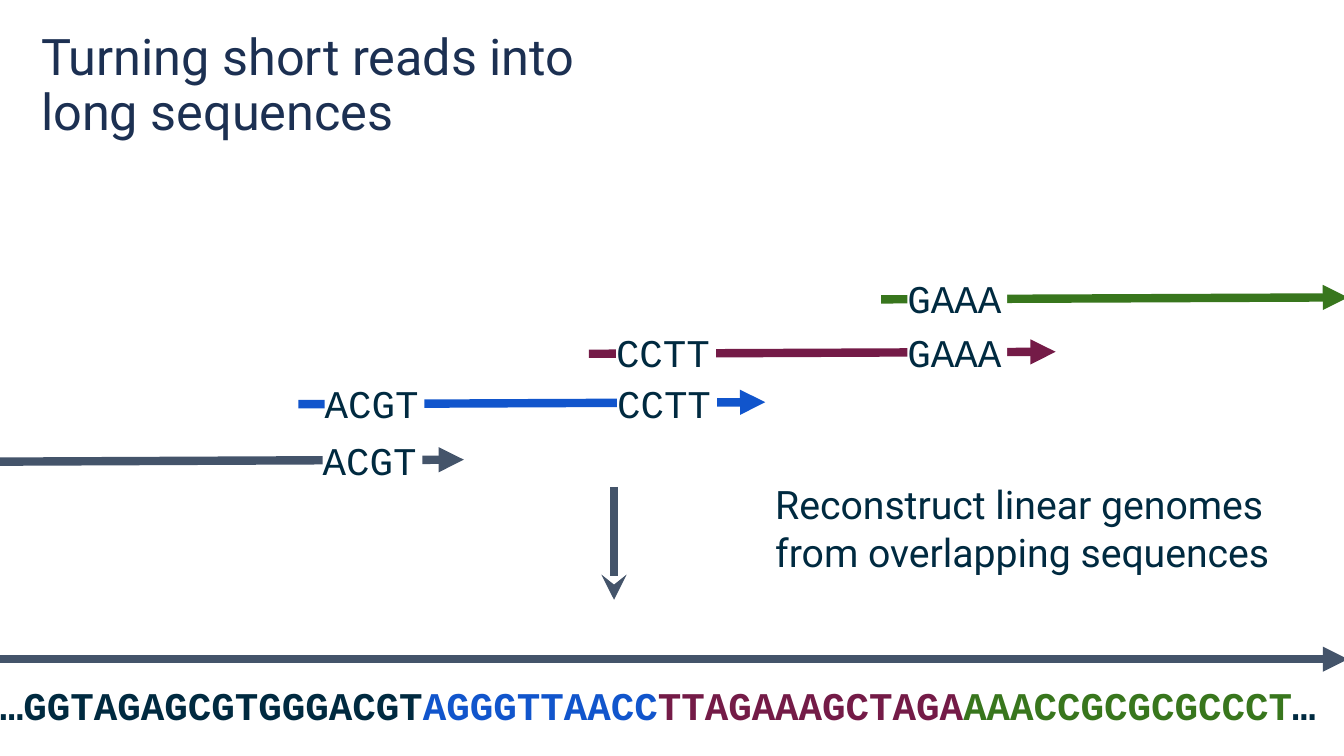
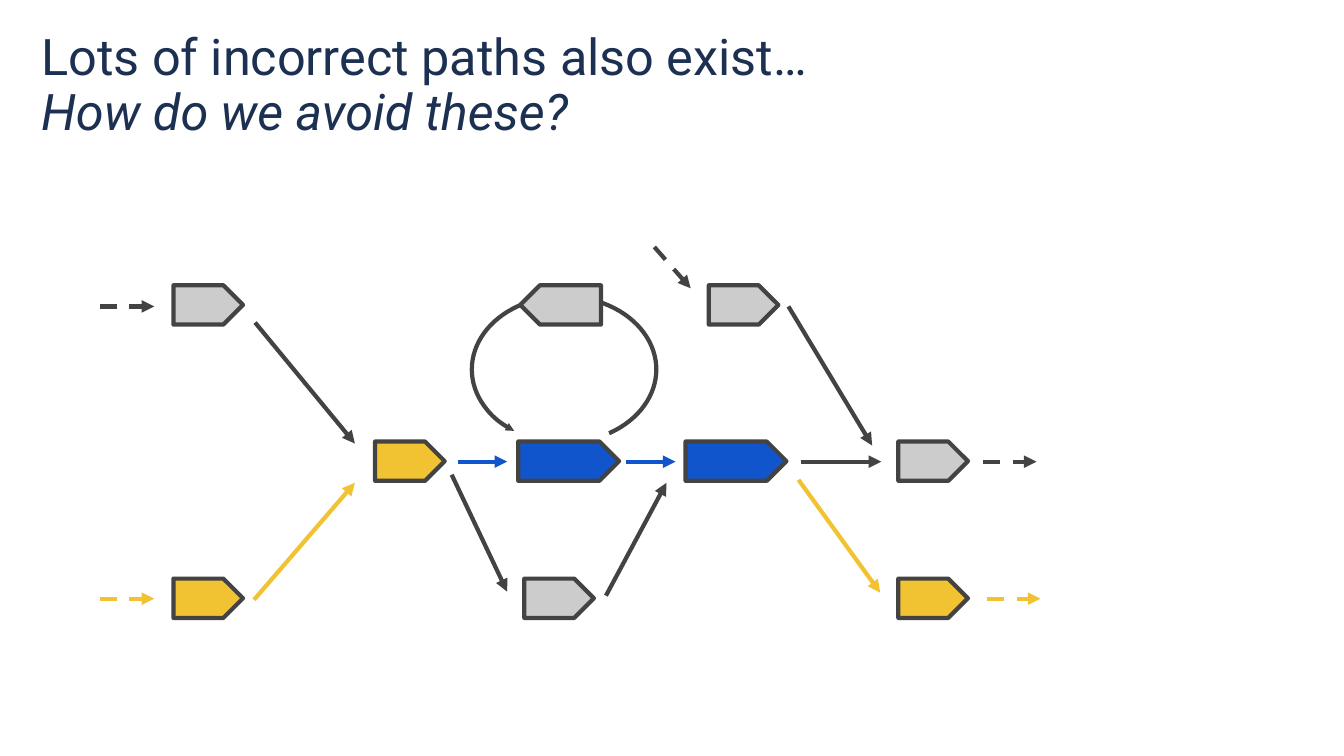
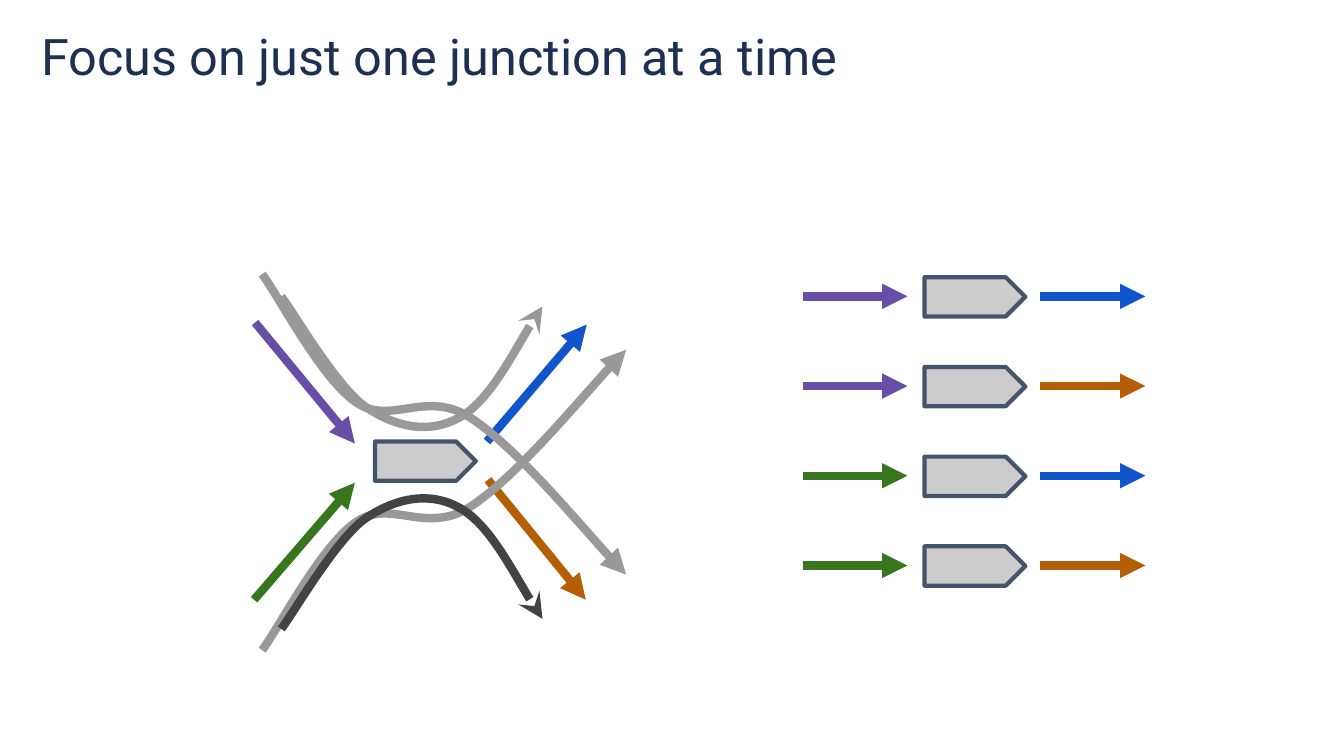
from lxml import etree
from pptx import Presentation
from pptx.dml.color import RGBColor
from pptx.enum.dml import MSO_LINE
from pptx.enum.shapes import MSO_CONNECTOR, MSO_SHAPE
from pptx.enum.text import MSO_ANCHOR, PP_ALIGN
from pptx.oxml.ns import qn
from pptx.util import Inches, Pt

DASH = MSO_LINE.DASH
STRAIGHT = MSO_CONNECTOR.STRAIGHT
PLATE, ARC, RECT = MSO_SHAPE.PENTAGON, MSO_SHAPE.ARC, MSO_SHAPE.RECTANGLE
MIDDLE, LEFT = MSO_ANCHOR.MIDDLE, PP_ALIGN.LEFT


class Theme:
    navy, ink, slate, dark = "1C3052", "002A40", "44546A", "434343"
    blue, plum, green, gold = "1155CC", "741B47", "38761D", "F1C232"
    violet, rust = "674EA7", "B45F06"
    pale, grey, white = "CCCCCC", "999999", "FFFFFF"
    sans, mono = "Roboto", "Courier New"
    head, body = Pt(36), Pt(28)
    thin, thick = Pt(3), Pt(6)


T = Theme

# Slide size and a grid of 13.33 columns by 7.5 rows
deck = Presentation()
deck.slide_width, deck.slide_height = Inches(13.33), Inches(7.5)
COL = deck.slide_width / 13.33
ROW = deck.slide_height / 7.5


def ink(part, hue, width, tip=None, dash=None):
    """Give a shape or connector its line, end arrow and no shadow."""
    part.line.color.rgb = RGBColor.from_string(hue)
    part.line.width = width
    if dash:
        part.line.dash_style = dash
    if tip:
        etree.SubElement(part.line._ln, qn("a:tailEnd"), type=tip)
    etree.SubElement(part.element.spPr, qn("a:effectLst"))


def style(frame, face, size, hue, inset):
    """Set wrapping, insets and run fonts of a text frame."""
    frame.word_wrap = True
    frame.margin_left = frame.margin_right = int(inset[0] * COL)
    frame.margin_top = frame.margin_bottom = int(inset[1] * ROW)
    for para in frame.paragraphs:
        para.alignment = LEFT
        for run in para.runs:
            run.font.name, run.font.size = face, size
            run.font.color.rgb = RGBColor.from_string(hue)


# Slide 1: four reads climbing to the right, each (left, row, colour)
reads = [(-0.03, 4.58, T.slate), (2.96, 4.01, T.blue),
         (5.84, 3.51, T.plum), (8.74, 2.97, T.green)]
steps = [(x, y, x + 4.63, y - 0.02, hue, "triangle", None)
         for x, y, hue in reads]
steps += [(-0.03, 6.54, 13.37, 6.54, T.slate, "triangle", None),
          (6.09, 4.83, 6.09, 5.95, T.slate, "stealth", None)]

# Slide 2: graph on three rows; plates are (left, top, width, fill, turn)
TOP, MID, LOW = 2.83, 4.38, 5.74
AXIS, BASE = 4.58, 5.94
SMALL, BIG, TALL = 0.69, 1, 0.39
nodes = [(1.72, TOP, SMALL, T.pale, 0), (5.16, TOP, 0.8, T.pale, 180),
         (7.03, TOP, SMALL, T.pale, 0), (3.72, MID, SMALL, T.gold, 0),
         (5.14, MID, BIG, T.blue, 0), (6.8, MID, BIG, T.blue, 0),
         (8.91, MID, SMALL, T.pale, 0), (1.72, LOW, SMALL, T.gold, 0),
         (5.2, LOW, SMALL, T.pale, 0), (8.91, LOW, SMALL, T.gold, 0)]
edges = [(*ends, hue, "triangle", dash) for hue, dash, group in [
    (T.blue, None, [(4.54, AXIS, 5.03, AXIS), (6.21, AXIS, 6.7, AXIS)]),
    (T.gold, None, [(2.52, 5.95, 3.52, 4.79), (7.92, 4.76, 8.73, 5.88)]),
    (T.dark, None, [(2.53, 3.2, 3.52, 4.4), (7.82, 3.04, 8.65, 4.42),
                    (6.01, 5.91, 6.61, 4.79), (7.94, AXIS, 8.74, AXIS),
                    (4.48, 4.71, 5.03, 5.87)]),
    (T.dark, DASH, [(0.99, 3.04, 1.53, 3.04), (9.75, AXIS, 10.28, AXIS),
                    (6.49, 2.45, 6.85, 2.86)]),
    (T.gold, DASH, [(0.99, BASE, 1.53, BASE), (9.79, BASE, 10.32, BASE)]),
] for ends in group]

# Slide 3: one junction on the left, its four pairings on the right
hubs = [(3.72, MID, BIG, T.pale, 0)]
ways = [(4.83, 4.38, 5.82, 3.22, T.blue, "triangle", None),
        (4.84, 4.76, 5.81, 5.95, T.rust, "triangle", None),
        (2.53, 3.2, 3.52, 4.4, T.violet, "triangle", None),
        (2.52, 5.95, 3.52, 4.79, T.green, "triangle", None)]
pairs = [(a, b) for a in (T.violet, T.green) for b in (T.blue, T.rust)]
for i, (enter, leave) in enumerate(pairs):
    y = 2.94 + 0.89 * i
    hubs.append((9.17, y - 0.19, BIG, T.pale, 0))
    ways += [(x, y, x + 1.04, y, hue, "triangle", None)
             for x, hue in ((7.96, enter), (10.32, leave))]

# Draw titles, plates and arrows of every slide
plans = [
    ("Turning short reads into\vlong sequences", 8.71, 2.45,
     [], steps, T.slate, T.thick),
    ("Lots of incorrect paths also exist…\nHow do we avoid these?", 8.12, 2.45,
     nodes, edges, T.dark, T.thin),
    ("Focus on just one junction at a time", 8.44, 3.38,
     hubs, ways, T.slate, T.thick),
]
pages = []
for title, wide, high, plates, links, rim, width in plans:
    page = deck.slides.add_slide(deck.slide_layouts[6])
    pages.append(page)
    for left, top, span, fill, turn in plates:
        plate = page.shapes.add_shape(
            PLATE, int(left * COL), int(top * ROW),
            int(span * COL), int(TALL * ROW))
        plate.fill.solid()
        plate.fill.fore_color.rgb = RGBColor.from_string(fill)
        plate.rotation = turn
        ink(plate, rim, T.thin)
    for x1, y1, x2, y2, hue, tip, dash in links:
        link = page.shapes.add_connector(
            STRAIGHT, int(x1 * COL), int(y1 * ROW), int(x2 * COL), int(y2 * ROW))
        ink(link, hue, width, tip, dash)
    head = page.shapes.add_textbox(
        int(0.31 * COL), int(0.27 * ROW), int(wide * COL), int(high * ROW))
    head.text_frame.text = title
    style(head.text_frame, T.sans, T.head, T.navy, (0.1, 0.05))
    for i, para in enumerate(head.text_frame.paragraphs):
        para.line_spacing = 0.9
        for run in para.runs:
            run.font.italic = i > 0

# Slide 1: overlap tags and the joined sequence
tags = [("ACGT", 3.2, 4.35, 0.99), ("ACGT", 3.22, 3.78, 0.99),
        ("CCTT", 6.12, 3.78, 0.99), ("CCTT", 6.11, 3.28, 0.99),
        ("GAAA", 9, 3.28, 0.99), ("GAAA", 9, 2.74, 0.99),
        ("…GGTAGAGCGTGGGACGT", 0, 6.78, 13.23)]
for text, left, top, wide in tags:
    tag = pages[0].shapes.add_shape(
        RECT, int(left * COL), int(top * ROW), int(wide * COL), int(0.43 * ROW))
    tag.fill.solid()
    tag.fill.fore_color.rgb = RGBColor.from_string(T.white)
    tag.line.fill.background()
    tag.shadow.inherit = False
    tag.text_frame.text = text
    tag.text_frame.vertical_anchor = MIDDLE
    style(tag.text_frame, T.mono, T.body, T.ink, (0, 0))
genome = tag.text_frame.paragraphs[0]
hues = [T.ink, T.blue, T.plum, T.green, T.ink]
for text in ("AGGGTTAACC", "TTAGAAAGCTAGA", "AAACCGCGCGCCCT", "…"):
    genome.add_run().text = text
style(tag.text_frame, T.mono, T.body, T.ink, (0, 0))
for run, hue in zip(genome.runs, hues):
    run.font.bold = True
    run.font.color.rgb = RGBColor.from_string(hue)

# Slide 1: caption
note = pages[0].shapes.add_textbox(
    int(7.59 * COL), int(4.67 * ROW), int(5.28 * COL), int(1.33 * ROW))
note.text_frame.text = "Reconstruct linear genomes from overlapping sequences"
style(note.text_frame, T.sans, T.body, T.ink, (0.1, 0.1))

# Slide 2: loop back to the first blue plate, behind the rest
loop = pages[1].shapes.add_shape(
    ARC, int(4.68 * COL), int(2.94 * ROW), int(1.83 * COL), int(1.45 * ROW))
loop.adjustments[0], loop.adjustments[1] = 77.467, 32.877
loop.fill.background()
ink(loop, T.dark, T.thin)
etree.SubElement(loop.line._ln, qn("a:headEnd"),
                 type="triangle", w="sm", len="sm")
pages[1].shapes._spTree.insert(2, loop.element)

# Slide 3: curves (left, top, width, height, knots), some mirrored in a row
bend = (2.79, 2.94, 2.59, 1.3, [
    (2.79, 2.94), (2.93, 3.13), (3.34, 3.84), (3.63, 4.04), (3.93, 4.24),
    (4.26, 4.31), (4.56, 4.14), (4.85, 3.98), (5.24, 3.23), (5.38, 3.04)])
cross = (2.6, 2.72, 3.61, 2.98, [
    (2.6, 2.72), (2.76, 2.93), (3.18, 3.75), (3.53, 3.99), (3.87, 4.23),
    (4.22, 3.86), (4.66, 4.14), (5.11, 4.43), (5.95, 5.44), (6.21, 5.7)])
for (left, top, wide, high, knots), twice, hue, tip in [
        (bend, 0, T.grey, "stealth"), (cross, 0, T.grey, "triangle"),
        (cross, 9.17, T.grey, "triangle"), (bend, 9.18, T.dark, "stealth")]:
    if twice:
        top = twice - top - high
        knots = [(x, twice - y) for x, y in knots]
    pen = pages[2].shapes.build_freeform(int(left * COL), int(top * ROW))
    pen.add_line_segments(
        [(int((left + wide) * COL), int((top + high) * ROW))], close=False)
    curve = pen.convert_to_shape()
    track = curve.element.find(".//" + qn("a:path"))
    for old in list(track):
        track.remove(old)
    for k in range(0, len(knots), 3):
        move = etree.SubElement(track, qn("a:cubicBezTo" if k else "a:moveTo"))
        for x, y in knots[max(k - 2, 0):k + 1]:
            etree.SubElement(move, qn("a:pt"), x=str(int((x - left) * COL)),
                             y=str(int((y - top) * ROW)))
    curve.fill.background()
    ink(curve, hue, T.thick, tip)

deck.save("out.pptx")
